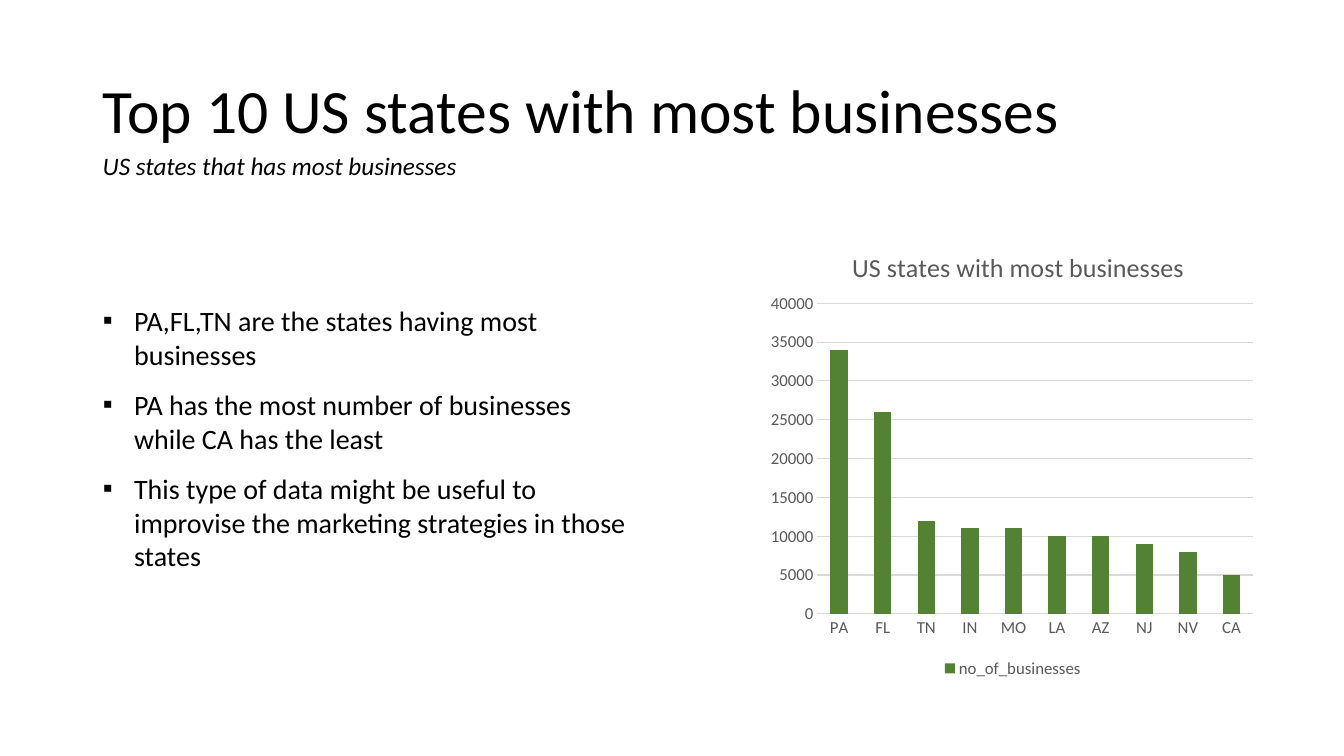
"""Build a slide with key points and a column chart of businesses per US state."""
from lxml import etree
from pptx import Presentation
from pptx.chart.data import CategoryChartData
from pptx.dml.color import RGBColor
from pptx.enum.chart import XL_CHART_TYPE, XL_LEGEND_POSITION, XL_TICK_MARK
from pptx.enum.text import MSO_ANCHOR, MSO_AUTO_SIZE, PP_ALIGN
from pptx.oxml.ns import qn
from pptx.util import Inches, Pt

TITLE = "Top 10 US states with most businesses"
SUBTITLE = "US states that has most businesses"
POINTS = [
    "PA,FL,TN are the states having most businesses",
    "PA has the most number of businesses while CA has the least",
    "This type of data might be useful to improvise the marketing strategies in those states",
]
CHART_TITLE = "US states with most businesses"
SERIES = "no_of_businesses"
BUSINESSES = {
    "PA": 34000, "FL": 26000, "TN": 12000, "IN": 11000, "MO": 11000,
    "LA": 10000, "AZ": 10000, "NJ": 9000, "NV": 8000, "CA": 5000,
}

FONT, BLACK, GRAY, GRID, GREEN = "Calibri", "000000", "595959", "D9D9D9", "548235"
LEFT = 0.92
TITLE_BOX = (LEFT, 0.4, 11.5, 1.45)
SUBTITLE_BOX = (LEFT, 1.44, 8.83, 0.4)
POINTS_BOX = (LEFT, 2.96, 5.52, 3.43)
CHART_BOX = (7.56, 2.24, 4.97, 4.53)
CHART_TITLE_SHARES = {"x": 0.17, "y": 0.04}
PLOT_SHARES = {"x": 0.11, "y": 0.17, "w": 0.87, "h": 0.68}
INDENT = Inches(0.31)
COLUMN, BOTTOM = XL_CHART_TYPE.COLUMN_CLUSTERED, XL_LEGEND_POSITION.BOTTOM
NO_TICK, LEFT_ALIGN = XL_TICK_MARK.NONE, PP_ALIGN.LEFT
TOP, MIDDLE, NO_FIT = MSO_ANCHOR.TOP, MSO_ANCHOR.MIDDLE, MSO_AUTO_SIZE.NONE


def color(value):
    return RGBColor.from_string(value)


def box(values):
    return [Inches(value) for value in values]


def style(font, size, value=BLACK, italic=False):
    font.name, font.size, font.bold, font.italic = FONT, Pt(size), False, italic
    font.color.rgb = color(value)


def add_run(paragraph, text, size, value=BLACK, italic=False):
    run = paragraph.add_run()
    run.text = text
    style(run.font, size, value, italic)


def place(shape, values, anchor):
    shape.left, shape.top, shape.width, shape.height = box(values)
    frame = shape.text_frame
    frame.word_wrap, frame.auto_size, frame.vertical_anchor = True, NO_FIT, anchor
    return frame


def add_bullet(paragraph):
    properties = paragraph._p.get_or_add_pPr()
    properties.set("marL", str(INDENT))
    properties.set("indent", str(-INDENT))
    etree.SubElement(properties, qn("a:buFont")).set("typeface", "Arial")
    etree.SubElement(properties, qn("a:buChar")).set("char", "▪")


def add_points(frame):
    for index, point in enumerate(POINTS):
        paragraph = frame.add_paragraph() if index else frame.paragraphs[0]
        paragraph.space_before = Pt(12)
        add_bullet(paragraph)
        add_run(paragraph, point, 20)


def set_layout(parent, index, shares):
    for old in parent.findall(qn("c:layout")):
        parent.remove(old)
    layout = etree.Element(qn("c:layout"))
    manual = etree.SubElement(layout, qn("c:manualLayout"))
    if "w" in shares:
        etree.SubElement(manual, qn("c:layoutTarget")).set("val", "inner")
    for key in ("x", "y"):
        etree.SubElement(manual, qn(f"c:{key}Mode")).set("val", "edge")
    for key, share in shares.items():
        etree.SubElement(manual, qn(f"c:{key}")).set("val", str(share))
    parent.insert(index, layout)


def add_business_chart(slide):
    data = CategoryChartData()
    data.categories = list(BUSINESSES)
    data.add_series(SERIES, list(BUSINESSES.values()))
    chart = slide.shapes.add_chart(COLUMN, *box(CHART_BOX), data).chart
    style(chart.font, 10)
    chart.has_title = True
    add_run(chart.chart_title.text_frame.paragraphs[0], CHART_TITLE, 18.6, GRAY)
    chart.has_legend = True
    chart.legend.position = BOTTOM
    chart.legend.include_in_layout = False
    style(chart.legend.font, 12, GRAY)

    for axis in (chart.category_axis, chart.value_axis):
        axis.major_tick_mark = axis.minor_tick_mark = NO_TICK
        style(axis.tick_labels.font, 12, GRAY)
    values = chart.value_axis
    values.minimum_scale, values.maximum_scale, values.major_unit = 0, 40000, 5000
    values.format.line.fill.background()
    for line in (chart.category_axis.format.line, values.major_gridlines.format.line):
        line.color.rgb = color(GRID)
        line.width = Pt(0.75)

    plot = chart.plots[0]
    plot.vary_by_categories = False
    plot.gap_width = 150
    fill = plot.series[0].format.fill
    fill.solid()
    fill.fore_color.rgb = color(GREEN)
    set_layout(chart.chart_title._element, 1, CHART_TITLE_SHARES)
    set_layout(plot._element.getparent(), 0, PLOT_SHARES)


def main():
    presentation = Presentation()
    presentation.slide_width, presentation.slide_height = box((13.33, 7.5))
    slide = presentation.slides.add_slide(presentation.slide_layouts[1])

    title = place(slide.shapes.title, TITLE_BOX, MIDDLE).paragraphs[0]
    title.alignment, title.line_spacing = LEFT_ALIGN, 0.9
    add_run(title, TITLE, 44)

    subtitle = place(slide.shapes.add_textbox(*box(SUBTITLE_BOX)), SUBTITLE_BOX, TOP)
    add_run(subtitle.paragraphs[0], SUBTITLE, 18, italic=True)

    add_points(place(slide.placeholders[1], POINTS_BOX, TOP))
    add_business_chart(slide)
    presentation.save("out.pptx")


if __name__ == "__main__":
    main()
